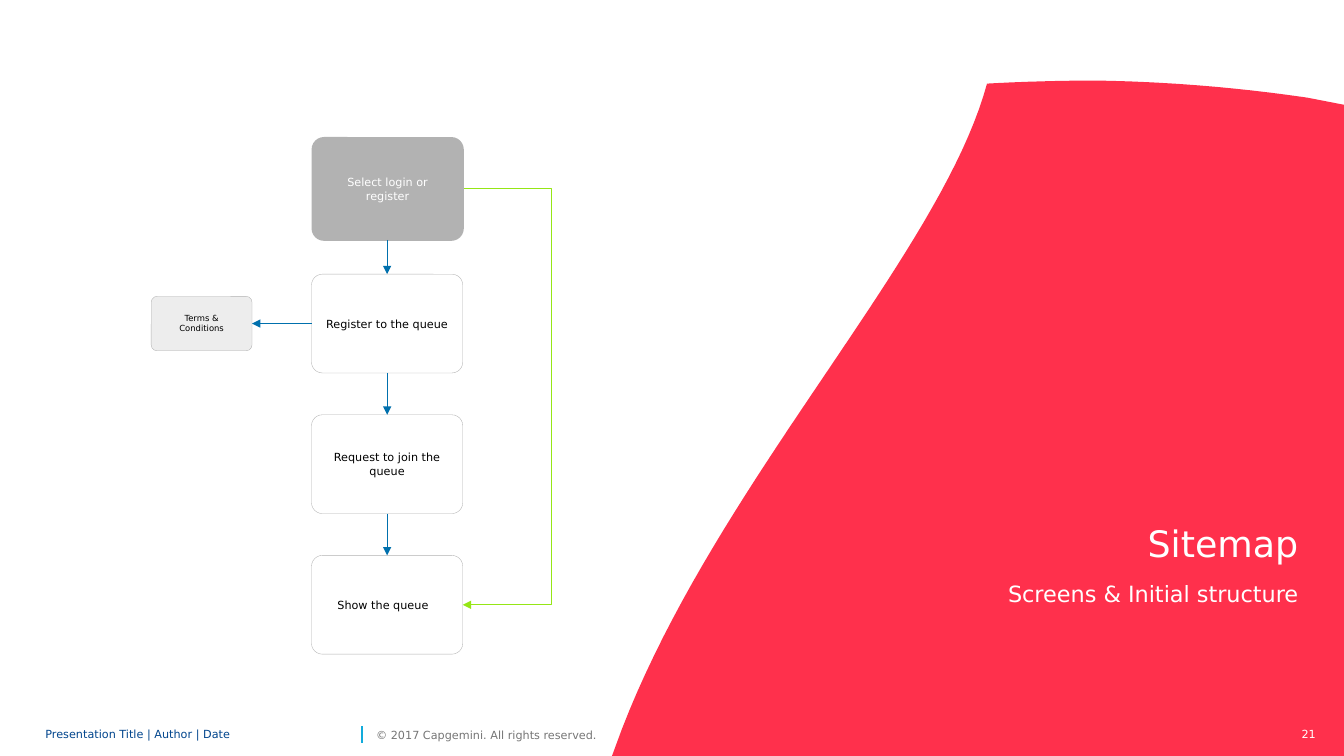
from lxml import etree
from pptx import Presentation, util as u
from pptx.dml.color import RGBColor
from pptx.enum import shapes, text
from pptx.oxml.ns import qn

FONT = "DejaVu Sans"
INCH = u.Inches
AL = text.PP_ALIGN
MID = text.MSO_ANCHOR.MIDDLE


def rgb(code):
    """Turn a hex string into a colour."""
    return RGBColor.from_string(code)


def write(shape, words, size=8, color="000000", align=AL.LEFT, anchor=MID,
          inset=None, wrap=True, lead=None, after=0):
    """Fill a shape with formatted text, one paragraph per line."""
    frame = shape.text_frame
    frame.auto_size = text.MSO_AUTO_SIZE.NONE
    frame.word_wrap = wrap
    frame.vertical_anchor = anchor
    frame.margin_left, frame.margin_top, frame.margin_right, frame.margin_bottom = [
        INCH(v) for v in inset or (0.1, 0.05, 0.1, 0.05)]
    frame.text = words
    for para in frame.paragraphs:
        para.alignment = align
        para.line_spacing = lead
        para.space_before = u.Pt(0)
        para.space_after = u.Pt(after)
        font = para.runs[0].font
        font.name, font.size = FONT, u.Pt(size)
        font.color.rgb = rgb(color)


def label(slide, box, words, **form):
    """Add a text box."""
    write(slide.shapes.add_textbox(*map(INCH, box)), words, **form)


def link(slide, start, end, color, width=0.5, head=True, bend=None):
    """Draw a line, with an arrowhead or a bend at a given x if asked."""
    kind = shapes.MSO_CONNECTOR.STRAIGHT if bend is None else shapes.MSO_CONNECTOR.ELBOW
    line = slide.shapes.add_connector(kind, *map(INCH, start + end))
    line.line.color.rgb = rgb(color)
    line.line.width = u.Pt(width)
    props = line.element.spPr
    if head:
        etree.SubElement(props.find(qn("a:ln")), qn("a:tailEnd"), type="triangle")
    if bend is not None:
        ratio = (bend - start[0]) / (end[0] - start[0])
        guides = props.find(qn("a:prstGeom")).get_or_add_avLst()
        etree.SubElement(guides, qn("a:gd"), name="adj1",
                         fmla=f"val {round(ratio * 100000)}")
    etree.SubElement(props, qn("a:effectLst"))


def node(slide, box, words, fill=None, edge="B2B2B2", **form):
    """Add a rounded box of the flow."""
    shape = slide.shapes.add_shape(
        shapes.MSO_SHAPE.ROUNDED_RECTANGLE, *map(INCH, box))
    shape.adjustments[0] = 0.12 if edge is None else 0.11
    shape.shadow.inherit = False
    if fill:
        shape.fill.solid()
        shape.fill.fore_color.rgb = rgb(fill)
    else:
        shape.fill.background()
    if edge:
        shape.line.color.rgb = rgb(edge)
        shape.line.width = u.Pt(0.25)
    else:
        shape.line.fill.background()
    write(shape, words, align=AL.CENTER, **form)


def curve(a, b, c, d, steps=40):
    """Return points along a cubic curve, after its start."""
    found = []
    for i in range(1, steps + 1):
        t = i / steps
        r = 1 - t
        found.append(tuple(r**3 * p + 3 * r * r * t * q + 3 * r * t * t * m + t**3 * n
                           for p, q, m, n in zip(a, b, c, d)))
    return found


def wave(slide):
    """Draw the red area on the right."""
    top, base, peak = (10.87, 0.8), (6.17, 7.23), (9.79, 0.83)
    dots = curve(top, (11.58, 0.81), (12.29, 0.87), (12.97, 0.97))
    dots += [(13.33, 1.04), (13.33, 7.5), (6.07, 7.5), base]
    dots += curve(base, (7.12, 4.77), (9.33, 2.53), peak)
    dots += curve(peak, (10.15, 0.81), (10.51, 0.8), top)
    pen = slide.shapes.build_freeform(*map(INCH, top))
    pen.add_line_segments([(INCH(x), INCH(y)) for x, y in dots])
    area = pen.convert_to_shape()
    area.shadow.inherit = False
    area.fill.solid()
    area.fill.fore_color.rgb = rgb("FF304C")
    area.line.fill.background()


def heading(slide, left, top, width):
    """Place the title and subtitle over the red area."""
    form = dict(color="FFFFFF", align=AL.RIGHT, inset=(0, 0, 0, 0), after=6)
    title = slide.shapes.title
    title.left, title.top, title.width, title.height = map(
        INCH, (left, top, width, 1.07))
    write(title, "Sitemap", size=26, anchor=text.MSO_ANCHOR.BOTTOM,
          lead=u.Pt(30), **form)
    slide.shapes.element.append(title.element)
    label(slide, (left, top + 1.24, width, 0.8), "Screens & Initial structure",
          size=16, anchor=text.MSO_ANCHOR.TOP, lead=u.Pt(18), **form)


def footer(slide, top, high=0.24):
    """Place the footer texts, divider and page number."""
    flat = (0, 0, 0, 0)
    label(slide, (0.45, top, 3.09, high), "Presentation Title | Author | Date",
          color="00458D", inset=flat, lead=0.85)
    link(slide, (3.59, top + 0.2), (3.59, top + 0.03), "12ABDB", 1, head=False)
    label(slide, (3.73, top, 2.43, high), "© 2017 Capgemini. All rights reserved.",
          color="767676", inset=flat, wrap=False)
    label(slide, (12.76, top, 0.39, high), "21", color="FFFFFF",
          align=AL.RIGHT, anchor=text.MSO_ANCHOR.TOP)


def flow(slide, left, top):
    """Draw the flow of screens down from its first box."""
    wide, high, step = 1.5, 0.98, 1.395
    mid, right, first = left + wide / 2, left + wide, top + 1.36
    blue = "0070AD"
    node(slide, (left, top, wide + 0.01, 1.03), "Select login or register",
         fill="B2B2B2", edge=None, color="FFFFFF")
    link(slide, (mid, top + 1.02), (mid, first), blue)
    steps = [("Register to the queue", 0.1), ("Request to join the queue", 0.1),
             ("Show the queue", 0.18)]
    for i, (words, pad) in enumerate(steps):
        y = first + i * step
        node(slide, (left, y, wide, high), words, inset=(0.1, 0.05, pad, 0.05))
        if i:
            link(slide, (mid, y - step + high), (mid, y), blue)
    side = first + high / 2
    node(slide, (left - 1.59, side - 0.27, 1, 0.54), "Terms &\nConditions",
         fill="EDEDED", size=6)
    link(slide, (left, side), (left - 0.59, side), blue)
    link(slide, (right + 0.01, top + 0.51), (right, side + 2 * step),
         "95E616", bend=right + 0.89)


def main():
    """Build and save the slide."""
    deck = Presentation()
    deck.slide_width, deck.slide_height = INCH(13.33), INCH(7.5)
    slide = deck.slides.add_slide(deck.slide_layouts[5])
    wave(slide)
    footer(slide, 7.17)
    heading(slide, 8.08, 4.53, 4.8)
    flow(slide, 3.09, 1.36)
    deck.save("out.pptx")


if __name__ == "__main__":
    main()
